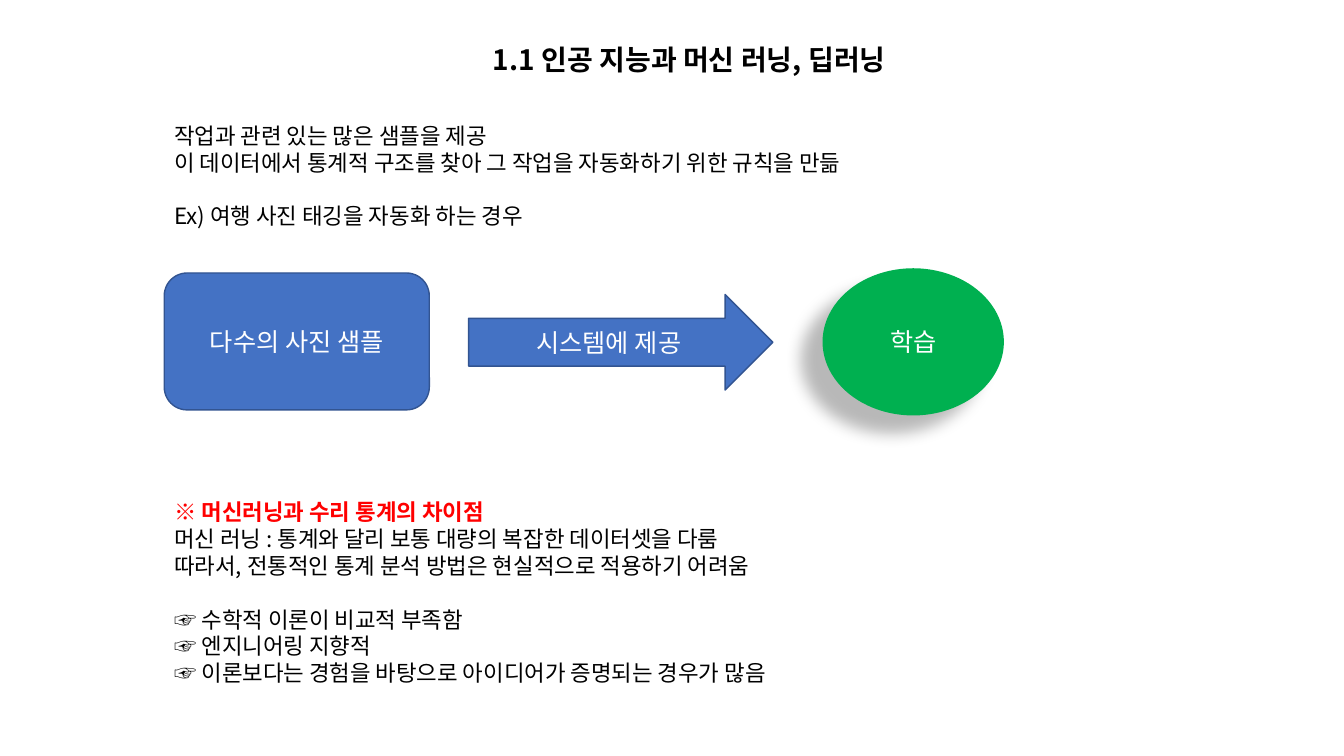
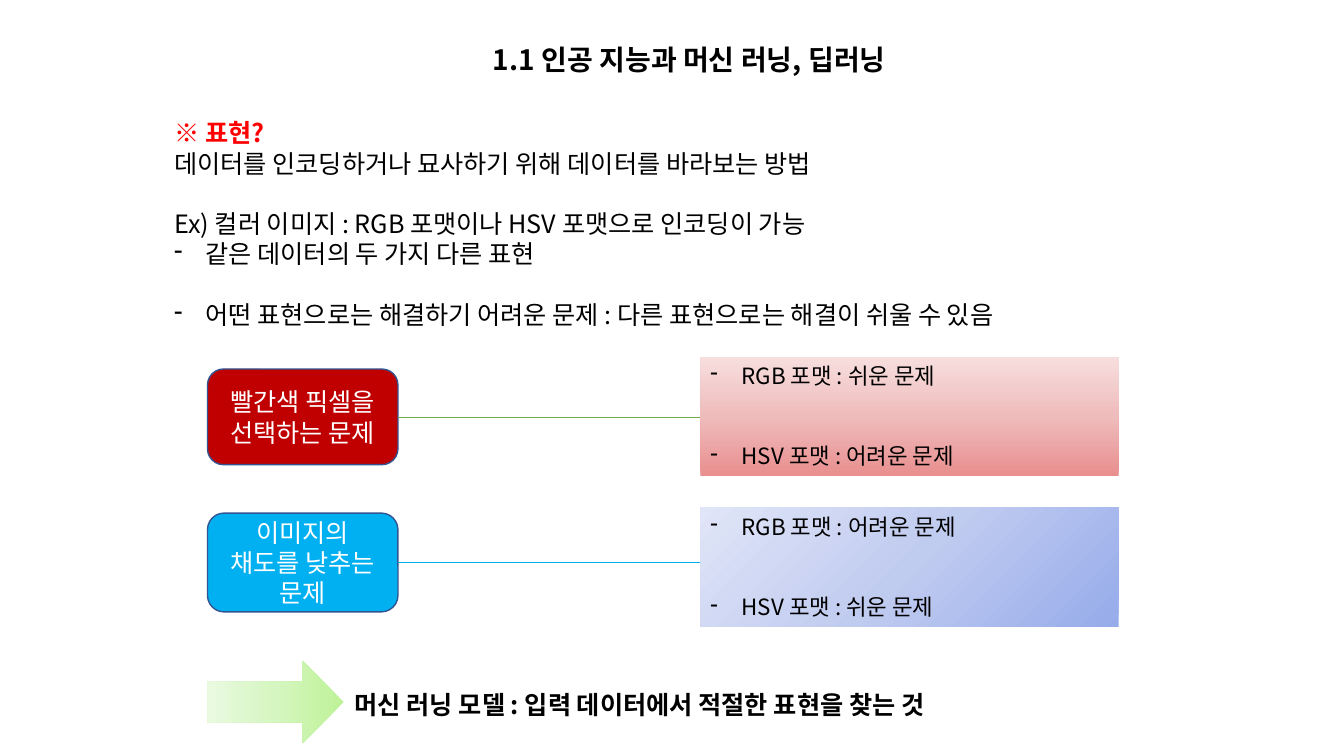
import pptx
import pptx.dml.color
import pptx.enum.shapes
import pptx.enum.text
import pptx.oxml
import pptx.oxml.ns
import pptx.util
from dataclasses import dataclass
from lxml import etree
from pptx.util import Cm

SHAPE = pptx.enum.shapes.MSO_SHAPE
ANCHOR = pptx.enum.text.MSO_ANCHOR
ALIGN = pptx.enum.text.PP_ALIGN


@dataclass(frozen=True)
class Theme:
    """Colours, font and type sizes shared by the slides."""
    font: str = "Noto Sans CJK KR"
    black: str = "000000"
    white: str = "FFFFFF"
    red: str = "FF0000"
    blue: str = "4472C4"
    outline: str = "325491"
    green: str = "00B050"
    dark_red: str = "C00000"
    sky: str = "00B0F0"
    leaf: str = "70AD47"
    red_fade: tuple = ("E98F8F", "EFBCBC", "F7DEDE")
    blue_fade: tuple = ("96ABEA", "C0CBF0", "E0E5F7")
    green_fade: tuple = ("BEF297", "D5F6C0", "EAFAE0")
    title_size: int = 20
    large: int = 18
    body: int = 16
    line_height: float = 1.2


theme = Theme()
rgb = pptx.dml.color.RGBColor.from_string
qn = pptx.oxml.ns.qn


def write(shape, lines, size=theme.large, color=theme.black, bold=False,
          align=ALIGN.LEFT, anchor=ANCHOR.TOP):
    """Fill a shape with paragraphs; a line is a text or (text, own format)."""
    frame = shape.text_frame
    frame.word_wrap = True
    frame.vertical_anchor = anchor
    line_height = size * theme.line_height
    for index, line in enumerate(lines):
        text, own = (line, {}) if isinstance(line, str) else line
        paragraph = frame.paragraphs[0] if index == 0 else frame.add_paragraph()
        paragraph.alignment = align
        paragraph.line_spacing = pptx.util.Pt(line_height)
        paragraph.space_before = pptx.util.Pt(line_height * own.get("gap", 0))
        run = paragraph.add_run()
        run.text = text
        run.font.size = pptx.util.Pt(size)
        run.font.name = theme.font
        run.font.bold = own.get("bold", bold)
        run.font.color.rgb = rgb(own.get("color", color))
        east_asian = etree.SubElement(run.font._element, qn("a:ea"))
        east_asian.set("typeface", theme.font)
        if own.get("bullet"):
            properties = paragraph._p.get_or_add_pPr()
            properties.set("marL", str(Cm(0.79)))
            properties.set("indent", str(Cm(-0.79)))
            etree.SubElement(properties, qn("a:buChar")).set("char", "-")


def draw(slide, kind, box, fill, line=None, angle=0):
    """Add a preset shape with a plain fill, or a fade given as a tuple."""
    shape = slide.shapes.add_shape(kind, *map(Cm, box))
    shape.shadow.inherit = False
    if isinstance(fill, tuple):
        shape.fill.gradient()
        shape.fill.gradient_angle = angle
        stops = shape._element.spPr.find(".//" + qn("a:gsLst"))
        for stop in list(stops):
            stops.remove(stop)
        for index, color in enumerate(fill):
            stop = etree.SubElement(stops, qn("a:gs"), pos=str(index * 50000))
            etree.SubElement(stop, qn("a:srgbClr"), val=color)
    else:
        shape.fill.solid()
        shape.fill.fore_color.rgb = rgb(fill)
    if line:
        shape.line.color.rgb = rgb(line)
        shape.line.width = pptx.util.Pt(1)
    else:
        shape.line.fill.background()
    return shape


presentation = pptx.Presentation()
presentation.slide_width, presentation.slide_height = Cm(33.87), Cm(19.05)
left, text_width = 4.14, 26.47
label = dict(color=theme.white, align=ALIGN.CENTER, anchor=ANCHOR.MIDDLE)
heading = dict(color=theme.red, bold=True)

# Title and body text of each slide
pages = [
    (2.95, 15.29, theme.body, [
        "작업과 관련 있는 많은 샘플을 제공",
        "이 데이터에서 통계적 구조를 찾아 그 작업을 자동화하기 위한 규칙을 만듦",
        ("Ex) 여행 사진 태깅을 자동화 하는 경우", dict(gap=1)),
        ("※ 머신러닝과 수리 통계의 차이점", dict(gap=10, **heading)),
        "머신 러닝 : 통계와 달리 보통 대량의 복잡한 데이터셋을 다룸",
        "따라서, 전통적인 통계 분석 방법은 현실적으로 적용하기 어려움",
        ("☞ 수학적 이론이 비교적 부족함", dict(gap=1)),
        "☞ 엔지니어링 지향적",
        "☞ 이론보다는 경험을 바탕으로 아이디어가 증명되는 경우가 많음",
    ]),
    (2.84, 5.64, theme.large, [
        ("※ 표현?", heading),
        "데이터를 인코딩하거나 묘사하기 위해 데이터를 바라보는 방법",
        ("Ex) 컬러 이미지 : RGB 포맷이나 HSV 포맷으로 인코딩이 가능", dict(gap=1)),
        ("같은 데이터의 두 가지 다른 표현", dict(bullet=True)),
        ("어떤 표현으로는 해결하기 어려운 문제 : 다른 표현으로는 해결이 쉬울 수 있음",
         dict(bullet=True, gap=1)),
    ]),
]
for top, height, size, lines in pages:
    slide = presentation.slides.add_slide(presentation.slide_layouts[6])
    title = slide.shapes.add_textbox(Cm(left), Cm(0.94), Cm(text_width), Cm(1.12))
    write(title, ["1.1 인공 지능과 머신 러닝, 딥러닝"], size=theme.title_size,
          bold=True, align=ALIGN.CENTER)
    body = slide.shapes.add_textbox(Cm(left), Cm(top), Cm(text_width), Cm(height))
    write(body, lines, size=size)
learning_slide, representation_slide = presentation.slides

# Slide 1: from samples to learning
steps = [
    (SHAPE.ROUNDED_RECTANGLE, (left, 6.88, 6.68, 3.45), theme.blue, theme.outline, "다수의 사진 샘플"),
    (SHAPE.RIGHT_ARROW, (11.81, 7.42, 7.67, 2.41), theme.blue, theme.outline, "시스템에 제공"),
    (SHAPE.OVAL, (20.73, 6.76, 4.57, 3.71), theme.green, None, "학습"),
]
for kind, box, fill, line, text in steps:
    step = draw(learning_slide, kind, box, fill, line)
    write(step, [text], **label)
effects = step._element.spPr.find(qn("a:effectLst"))
shadow = etree.SubElement(
    effects, qn("a:outerShdw"), blurRad=str(pptx.util.Pt(11.8)),
    dist=str(pptx.util.Pt(19.7)), dir=str(141 * 60000), algn="ctr", rotWithShape="0")
shadow_color = etree.SubElement(shadow, qn("a:srgbClr"), val=theme.black)
etree.SubElement(shadow_color, qn("a:alpha"), val="28000")

# Slide 2: each problem joined to how hard it is in both formats
problem_left, problem_width, answer_left = 5.23, 4.8, 17.65
problems = [
    ("빨간색 픽셀을 선택하는 문제", 9.3, 2.41, theme.dark_red, theme.leaf,
     8.99, theme.red_fade, 90, "쉬운", "어려운"),
    ("이미지의 채도를 낮추는 문제", 12.93, 2.49, theme.sky, theme.sky,
     12.8, theme.blue_fade, 135, "어려운", "쉬운"),
]
for (text, top, height, fill, link_color, answer_top, fade, angle,
     rgb_level, hsv_level) in problems:
    problem = draw(representation_slide, SHAPE.ROUNDED_RECTANGLE,
                   (problem_left, top, problem_width, height), fill, theme.outline)
    write(problem, [text], **label)
    middle = Cm(top + height / 2)
    link = representation_slide.shapes.add_connector(
        pptx.enum.shapes.MSO_CONNECTOR.STRAIGHT,
        Cm(problem_left + problem_width), middle, Cm(answer_left), middle)
    link.line.color.rgb = rgb(link_color)
    link.line.width = pptx.util.Pt(0.5)
    etree.SubElement(link._element.spPr, qn("a:effectLst"))
    answer = draw(representation_slide, SHAPE.RECTANGLE,
                  (answer_left, answer_top, 10.54, 3), fade, angle=angle)
    write(answer, [(f"RGB 포맷 : {rgb_level} 문제", dict(bullet=True)),
                   (f"HSV 포맷 : {hsv_level} 문제", dict(bullet=True, gap=2))],
          size=theme.body)

draw(representation_slide, SHAPE.RIGHT_ARROW, (problem_left, 16.66, 3.43, 2.06),
     theme.green_fade, angle=180)
conclusion = representation_slide.shapes.add_textbox(Cm(8.69), Cm(17.25), Cm(18.19), Cm(1.02))
write(conclusion, ["머신 러닝 모델 : 입력 데이터에서 적절한 표현을 찾는 것"], bold=True)

presentation.save("out.pptx")
